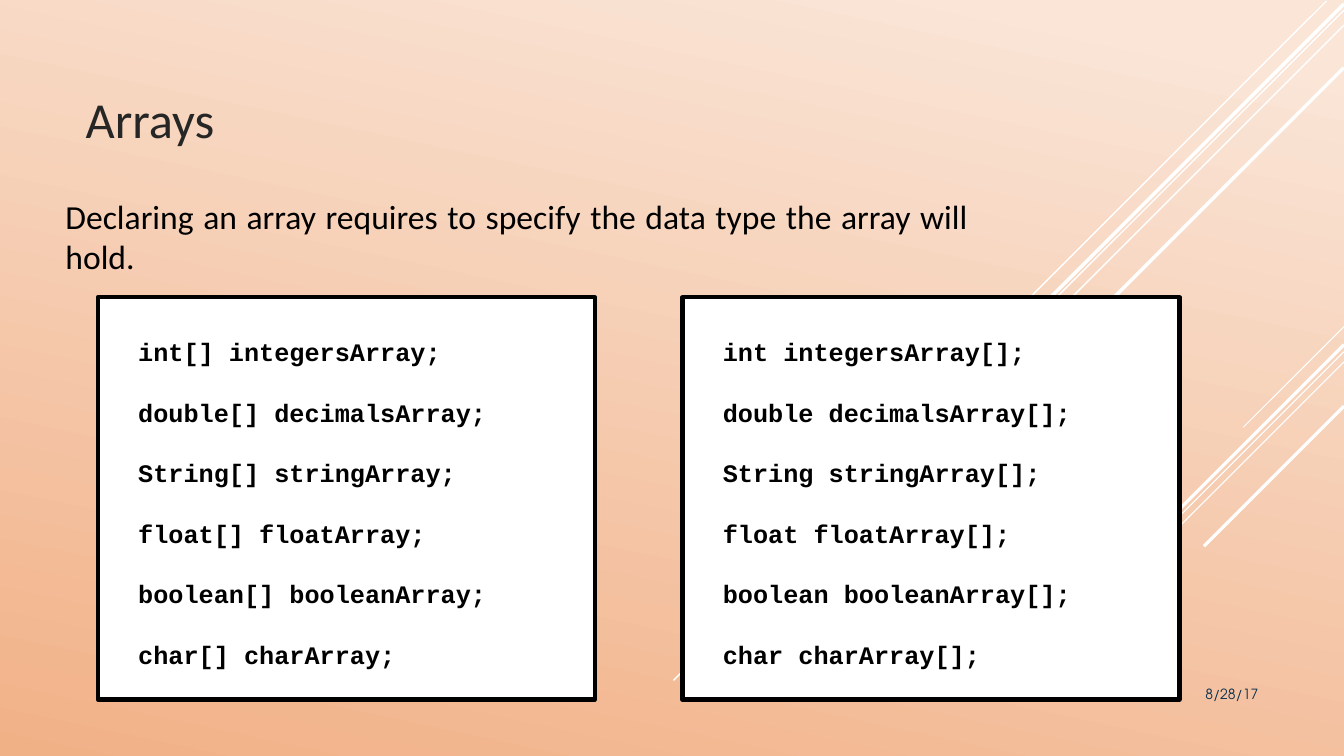
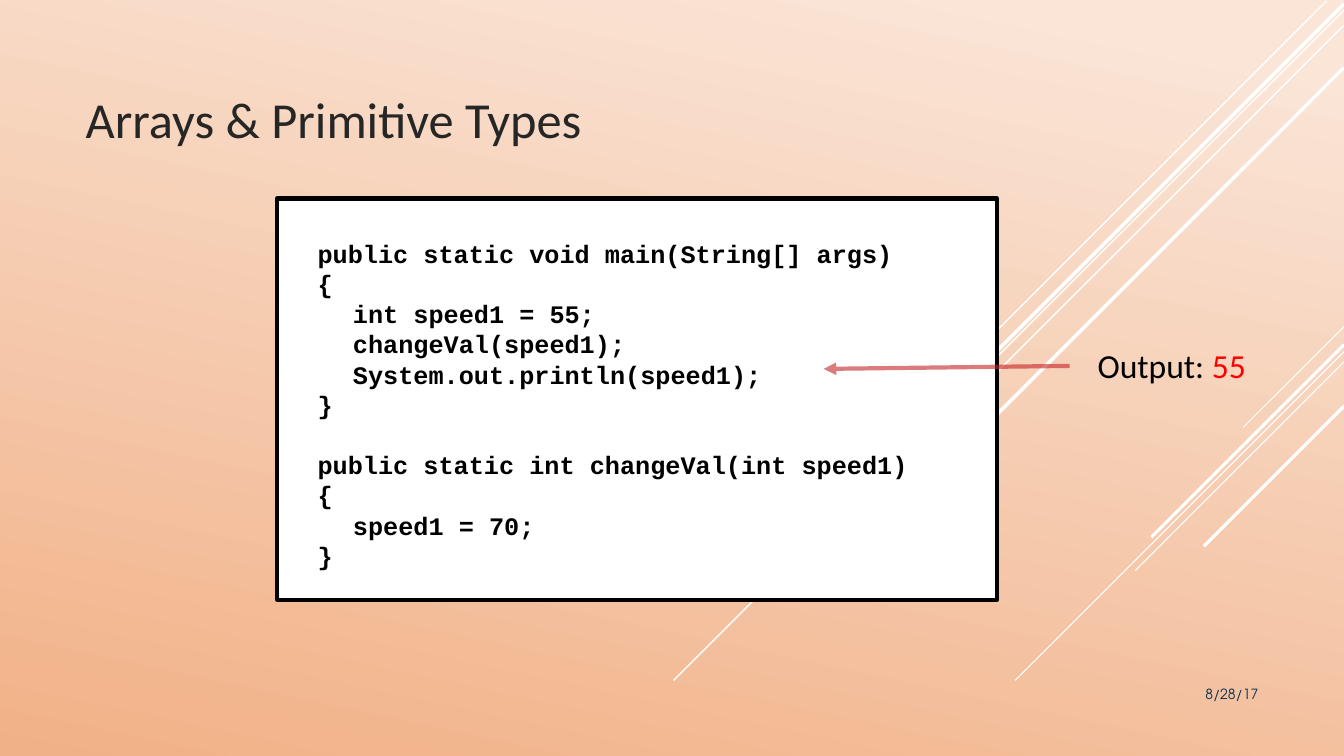
"""Build two slides on Java arrays over a striped peach backdrop."""
from typing import NamedTuple

from lxml import etree
from pptx import Presentation
from pptx.dml.color import RGBColor
from pptx.enum.shapes import MSO_CONNECTOR, MSO_SHAPE
from pptx.enum.text import MSO_ANCHOR, MSO_AUTO_SIZE, PP_ALIGN
from pptx.oxml.ns import qn
from pptx.util import Inches, Pt

STRAIGHT = MSO_CONNECTOR.STRAIGHT
RECTANGLE = MSO_SHAPE.RECTANGLE
TOP, BOTTOM = MSO_ANCHOR.TOP, MSO_ANCHOR.BOTTOM
LEFT, RIGHT, JUSTIFY = PP_ALIGN.LEFT, PP_ALIGN.RIGHT, PP_ALIGN.JUSTIFY
NO_AUTOFIT = MSO_AUTO_SIZE.NONE

SLIDE_WIDTH, SLIDE_HEIGHT = Inches(13.33), Inches(7.5)
TITLE_ONLY = 5
SANS, MONO, DATE_FONT = "Calibri", "Courier New", "TeX Gyre Adventor"
WHITE, BLACK, RED, ARROW_RED = "FFFFFF", "000000", "FF0000", "C62324"
TITLE_GREY, DATE_BLUE = "262626", "0A304A"
BACKDROP = ((0.07, "FAE5D7"), (1.0, "F1B187"))
CODE_LINE = Pt(21.6)


class Region(NamedTuple):
    """Hold a rectangle as percentages of the slide's width and height."""
    left: float
    top: float
    width: float
    height: float


class Stripe(NamedTuple):
    """Hold a diagonal: start and run in percent, weight in points."""
    left: float
    top: float
    run: float
    weight: float


class CodeLine(NamedTuple):
    """Hold one line of code, its indent depth and blank lines before it."""
    text: str
    depth: int = 0
    blank_before: int = 0


class Span(NamedTuple):
    """Hold a piece of text and its colour."""
    text: str
    color: str = BLACK


STRIPES = (
    Stripe(100, 43.2, 13.33, 0.75),
    Stripe(100, 46.53, 43.47, 0.75),
    Stripe(100, 47.87, 27.6, 0.75),
    Stripe(100, 45.6, 25.47, 2.25),
    Stripe(100, 53.73, 18.53, 2.25),
    Stripe(98.7, 0.13, 55.5, 1),
    Stripe(100, 1.33, 88.67, 1),
    Stripe(100, 3.33, 72.27, 1),
    Stripe(100, 0.53, 70.8, 2.5),
    Stripe(100, 8.93, 63.33, 2.5),
)
TITLE = Region(5.63, 6.53, 65.63, 13.73)
DATE = Region(81.23, 90, 13.13, 5.33)
INTRO = Region(4.13, 25.2, 68.63, 16.27)
DECLARATIONS = Region(7.28, 39.33, 36.98, 53.2)
DECLARATION_STEP = 43.5
PROGRAM_PANEL = Region(20.63, 26.27, 53.55, 53.07)
OUTPUT = Region(80.93, 44.93, 12.98, 7.87)
ARROW_START, ARROW_END = (79.58, 48.4), (61.28, 48.8)

VARIABLES = (
    ("int", "integersArray"),
    ("double", "decimalsArray"),
    ("String", "stringArray"),
    ("float", "floatArray"),
    ("boolean", "booleanArray"),
    ("char", "charArray"),
)
DECLARATION_FORMS = ("{}[] {};", "{} {}[];")
PROGRAM = (
    CodeLine("public static void main(String[] args)"),
    CodeLine("{"),
    CodeLine("int speed1 = 55;", 1),
    CodeLine("changeVal(speed1);", 1),
    CodeLine("System.out.println(speed1);", 1),
    CodeLine("}"),
    CodeLine("public static int changeVal(int speed1)", 0, 1),
    CodeLine("{"),
    CodeLine("speed1 = 70;", 1),
    CodeLine("}"),
)


def rgb(value: str) -> RGBColor:
    """Turn a hex string into a colour."""
    return RGBColor.from_string(value)


def across(share: float) -> int:
    """Turn a percentage of the slide's width into a length."""
    return round(SLIDE_WIDTH * share / 100)


def down(share: float) -> int:
    """Turn a percentage of the slide's height into a length."""
    return round(SLIDE_HEIGHT * share / 100)


def frame(region: Region) -> tuple[int, int, int, int]:
    """Give a region's left, top, width and height as lengths."""
    return (across(region.left), down(region.top),
            across(region.width), down(region.height))


def set_font(font, name: str, size: float, color: str, bold: bool = False) -> None:
    """Set a font's name, size, colour and weight."""
    font.name, font.size, font.bold = name, Pt(size), bold
    font.color.rgb = rgb(color)


def paint_backdrop(deck) -> None:
    """Give the slide master its gradient background."""
    fill = deck.slide_master.background.fill
    fill.gradient()
    fill.gradient_angle = 258
    for stop, (position, color) in zip(fill.gradient_stops, BACKDROP):
        stop.position = position
        stop.color.rgb = rgb(color)


def add_line(page, start: tuple[int, int], end: tuple[int, int],
             color: str, weight: float):
    """Draw a straight line without a shadow."""
    line = page.shapes.add_connector(STRAIGHT, *start, *end)
    line.line.color.rgb = rgb(color)
    line.line.width = Pt(weight)
    etree.SubElement(line._element.spPr, qn("a:effectLst"))
    return line


def add_text(page, region: Region, spans: tuple[Span, ...], name: str,
             size: float, align) -> None:
    """Add a wrapped text box with one paragraph."""
    box = page.shapes.add_textbox(*frame(region))
    box.text_frame.word_wrap = True
    para = box.text_frame.paragraphs[0]
    para.alignment = align
    set_font(para.font, name, size, spans[0].color)
    for span in spans:
        run = para.add_run()
        run.text = span.text
        set_font(run.font, name, size, span.color)


def add_page(deck, title: str):
    """Add a slide with the stripes, the title and the date."""
    page = deck.slides.add_slide(deck.slide_layouts[TITLE_ONLY])
    for stripe in STRIPES:
        left, top, run = across(stripe.left), down(stripe.top), down(stripe.run)
        add_line(page, (left, top), (left - run, top + run), WHITE, stripe.weight)
    box = page.shapes.title
    box.left, box.top, box.width, box.height = frame(TITLE)
    box.text_frame.text = title
    box.text_frame.auto_size = NO_AUTOFIT
    box.text_frame.vertical_anchor = BOTTOM
    para = box.text_frame.paragraphs[0]
    para.alignment = LEFT
    set_font(para.font, SANS, 36, TITLE_GREY)
    add_text(page, DATE, (Span("8/28/17", DATE_BLUE),), DATE_FONT, 10, RIGHT)
    return page


def add_code(page, region: Region, lines: tuple[CodeLine, ...]) -> None:
    """Draw a white panel that holds lines of code."""
    panel = page.shapes.add_shape(RECTANGLE, *frame(region))
    panel.shadow.inherit = False
    panel.fill.solid()
    panel.fill.fore_color.rgb = rgb(WHITE)
    panel.line.color.rgb = rgb(BLACK)
    panel.line.width = Pt(3)
    text = panel.text_frame
    text.word_wrap = True
    text.vertical_anchor = TOP
    text.margin_left, text.margin_top = Inches(0.4), Inches(0.39)
    for index, line in enumerate(lines):
        para = text.add_paragraph() if index else text.paragraphs[0]
        para.text = line.text
        para.alignment = LEFT
        para.line_spacing = CODE_LINE
        para.space_before = CODE_LINE * line.blank_before
        para._p.get_or_add_pPr().set("marL", str(Inches(0.35) * line.depth))
        set_font(para.font, MONO, 18, BLACK, bold=True)


def add_arrow(page) -> None:
    """Draw the translucent arrow from the output to the print call."""
    start, end = ((across(x), down(y)) for x, y in (ARROW_START, ARROW_END))
    arrow = add_line(page, start, end, ARROW_RED, 3)
    outline = arrow.line._get_or_add_ln()
    color = outline.find(".//" + qn("a:srgbClr"))
    etree.SubElement(color, qn("a:alpha"), val="60000")
    etree.SubElement(outline, qn("a:tailEnd"), type="triangle")


def build_declarations(deck) -> None:
    """Build the slide on the two ways to declare an array."""
    page = add_page(deck, "Arrays")
    intro = ("Declaring an array requires to specify the data type "
             "the array will hold.")
    add_text(page, INTRO, (Span(intro),), SANS, 24, JUSTIFY)
    for column, form in enumerate(DECLARATION_FORMS):
        left = DECLARATIONS.left + column * DECLARATION_STEP
        lines = tuple(CodeLine(form.format(*variable), 0, min(row, 1))
                      for row, variable in enumerate(VARIABLES))
        add_code(page, DECLARATIONS._replace(left=left), lines)


def build_primitives(deck) -> None:
    """Build the slide on passing a primitive value."""
    page = add_page(deck, "Arrays & Primitive Types")
    add_code(page, PROGRAM_PANEL, PROGRAM)
    add_text(page, OUTPUT, (Span("Output: "), Span("55", RED)), SANS, 24, JUSTIFY)
    add_arrow(page)


def main() -> None:
    """Build and save the deck."""
    deck = Presentation()
    deck.slide_width, deck.slide_height = SLIDE_WIDTH, SLIDE_HEIGHT
    paint_backdrop(deck)
    build_declarations(deck)
    build_primitives(deck)
    deck.save("out.pptx")


if __name__ == "__main__":
    main()
